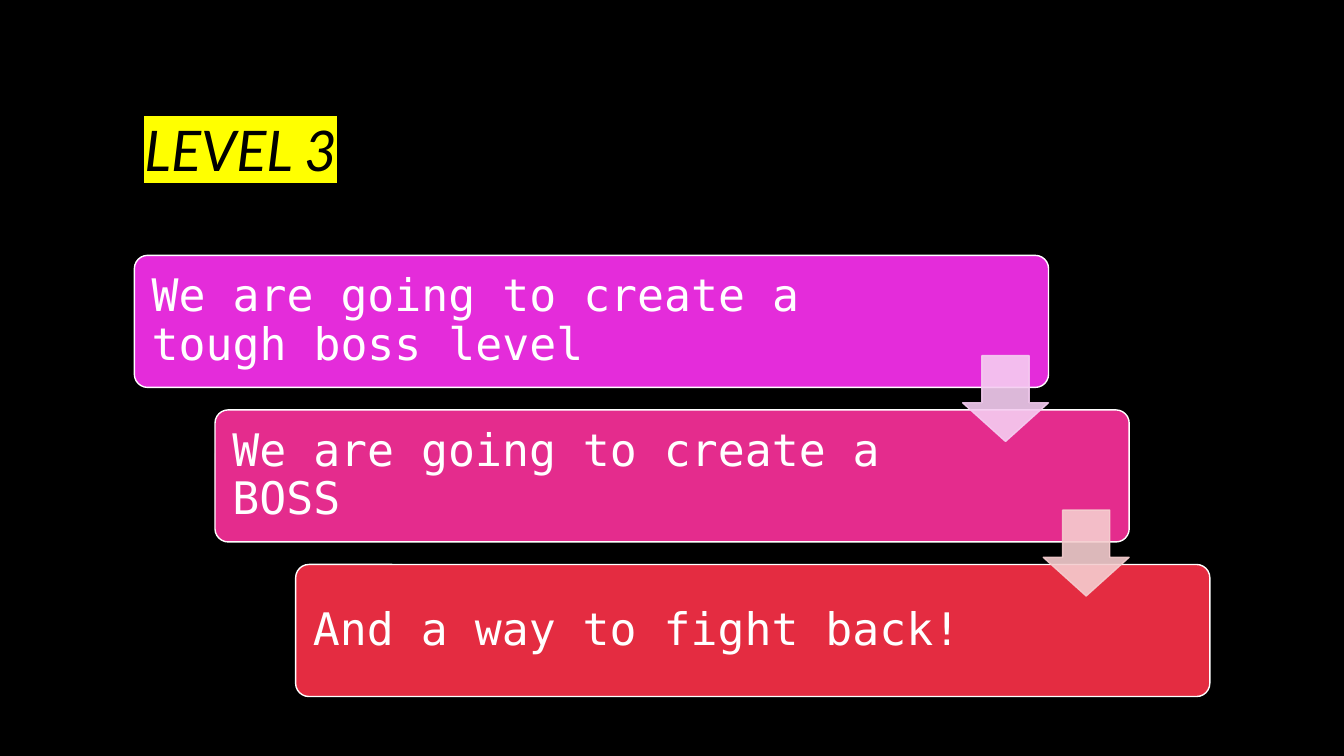
import pptx
import pptx.dml.color
import pptx.enum.shapes
import pptx.enum.text
import pptx.oxml
import pptx.oxml.ns
import pptx.util

Pt = pptx.util.Pt
RGBColor = pptx.dml.color.RGBColor
Shape = pptx.enum.shapes.MSO_SHAPE
Anchor = pptx.enum.text.MSO_ANCHOR

BLACK = RGBColor(0x00, 0x00, 0x00)
WHITE = RGBColor(0xFF, 0xFF, 0xFF)
YELLOW = RGBColor(0xFF, 0xFF, 0x00)
MAGENTA = RGBColor(0xE4, 0x2C, 0xDA)
PINK = RGBColor(0xE4, 0x2C, 0x8D)
RED = RGBColor(0xE4, 0x2C, 0x41)
PALE_MAGENTA = RGBColor(0xF5, 0xCD, 0xF1)
PALE_RED = RGBColor(0xF5, 0xCD, 0xCF)

# Each step lies this far right of and below the one before
STEP_X, STEP_Y = 57.6, 110.4


class LevelSlide:
    """Holds the fonts and the current page."""

    title_font = "Lato"
    body_font = "DejaVu Sans Mono"

    def __init__(self, deck):
        self.page = deck.slides.add_slide(deck.slide_layouts[5])
        fill = self.page.background.fill
        fill.solid()
        fill.fore_color.rgb = BLACK

    def set_text(self, frame, text, font_name, size, color, spacing):
        frame.word_wrap = True
        frame.auto_size = pptx.enum.text.MSO_AUTO_SIZE.NONE
        frame.vertical_anchor = Anchor.MIDDLE
        para = frame.paragraphs[0]
        para.text = text
        para.alignment = pptx.enum.text.PP_ALIGN.LEFT
        para.line_spacing = spacing
        para.font.name, para.font.size = font_name, Pt(size)
        para.font.color.rgb = color
        return para

    def title(self, text, left, top, width, height):
        box = self.page.shapes.title
        box.left, box.top = Pt(left), Pt(top)
        box.width, box.height = Pt(width), Pt(height)
        para = self.set_text(box.text_frame, text, self.title_font, 40, BLACK, 1.2)
        para.font.italic = True
        # Highlight behind the words
        properties = para.runs[0].font._element
        properties.append(pptx.oxml.parse_xml(
            f'<a:highlight {pptx.oxml.ns.nsdecls("a")}>'
            f'<a:srgbClr val="{YELLOW}"/></a:highlight>'))

    def shape(self, kind, adjustments, color, line_color, left, top, width, height):
        shape = self.page.shapes.add_shape(
            kind, Pt(left), Pt(top), Pt(width), Pt(height))
        shape.shadow.inherit = False
        for index, value in enumerate(adjustments):
            shape.adjustments[index] = value
        shape.fill.solid()
        shape.fill.fore_color.rgb = color
        shape.line.color.rgb = line_color
        shape.line.width = Pt(1)
        return shape

    def step(self, text, text_width, color, left, top):
        self.shape(Shape.ROUNDED_RECTANGLE, [0.1], color, WHITE,
                   left, top, 653, 94.3)
        box = self.page.shapes.add_textbox(
            Pt(left + 2.8), Pt(top + 2.8), Pt(text_width), Pt(89))
        frame = box.text_frame
        frame.margin_left = frame.margin_right = Pt(9.6)
        frame.margin_top = frame.margin_bottom = Pt(9.6)
        self.set_text(frame, text, self.body_font, 32, WHITE, 0.9)

    def arrow(self, color, left, top):
        arrow = self.shape(Shape.DOWN_ARROW, [0.55, 0.45], color, color,
                           left, top, 61.3, 61.3)
        # Fill and line are both 90 % opaque
        for tone in arrow._element.spPr.iter(pptx.oxml.ns.qn("a:srgbClr")):
            tone.append(pptx.oxml.parse_xml(
                f'<a:alpha {pptx.oxml.ns.nsdecls("a")} val="90000"/>'))


def main():
    deck = pptx.Presentation()
    deck.slide_width, deck.slide_height = Pt(960), Pt(540)
    slide = LevelSlide(deck)

    # Title
    slide.title("LEVEL 3", 96, 56.2, 768, 90.7)

    # Staircase of steps
    steps = [
        ("We are going to create a tough boss level", 551, MAGENTA),
        ("We are going to create a BOSS", 528.5, PINK),
        ("And a way to fight back!", 528.5, RED),
    ]
    for index, (text, text_width, color) in enumerate(steps):
        slide.step(text, text_width, color,
                   96 + index * STEP_X, 182.4 + index * STEP_Y)

    # Arrows from each step to the next
    for index, color in enumerate([PALE_MAGENTA, PALE_RED]):
        slide.arrow(color, 687.6 + index * STEP_X, 254 + index * STEP_Y)

    deck.save("out.pptx")


if __name__ == "__main__":
    main()
